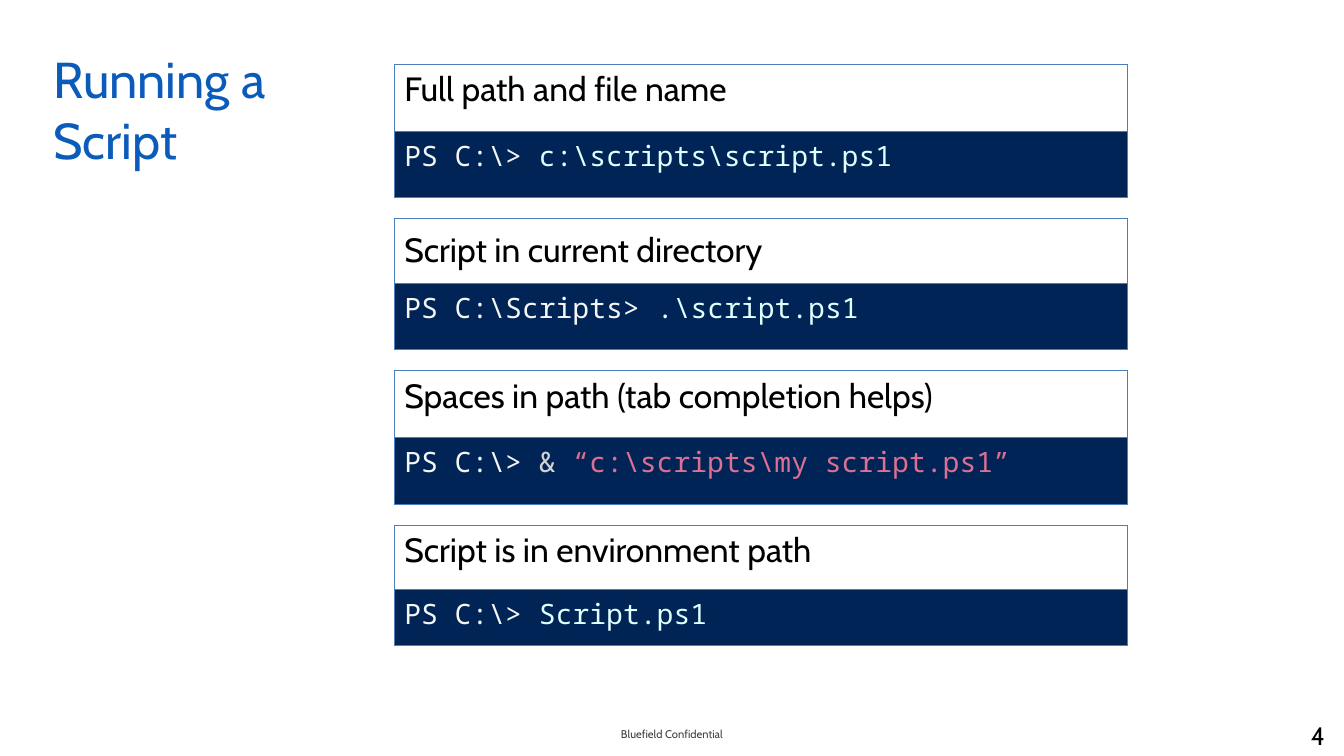
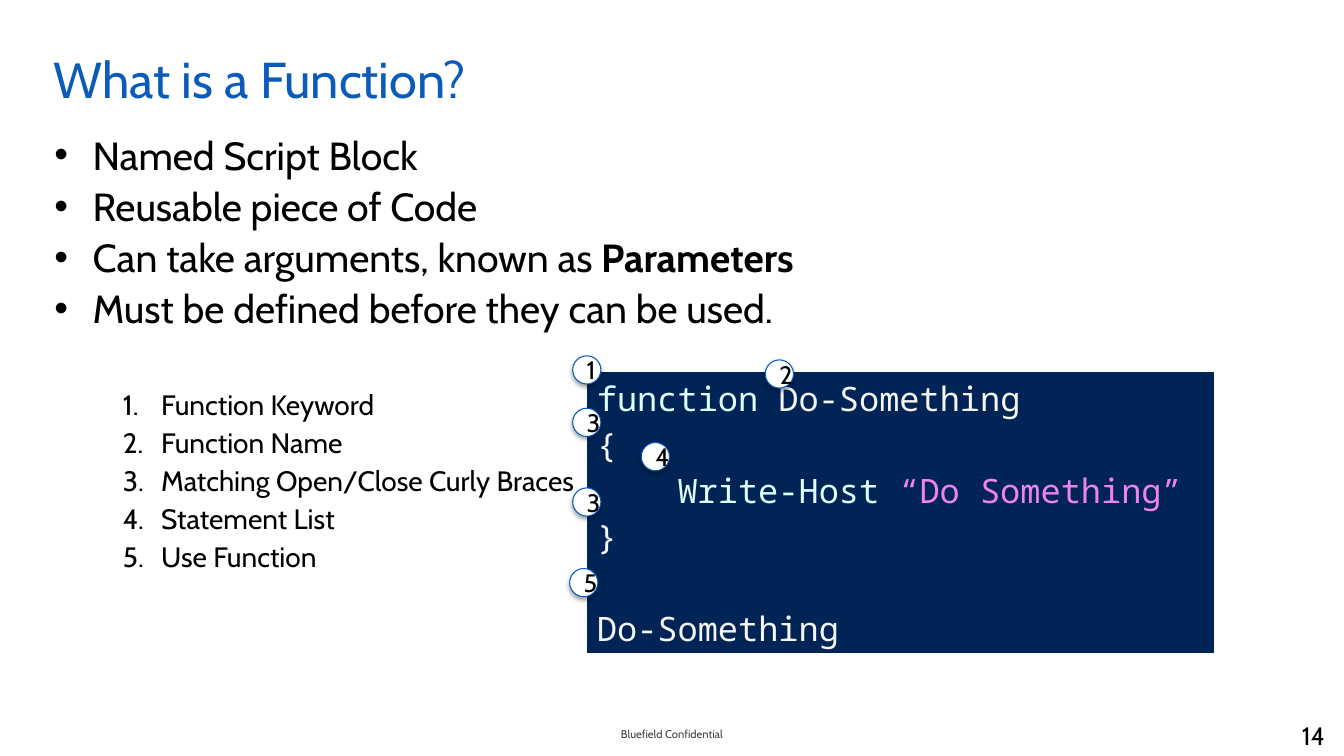
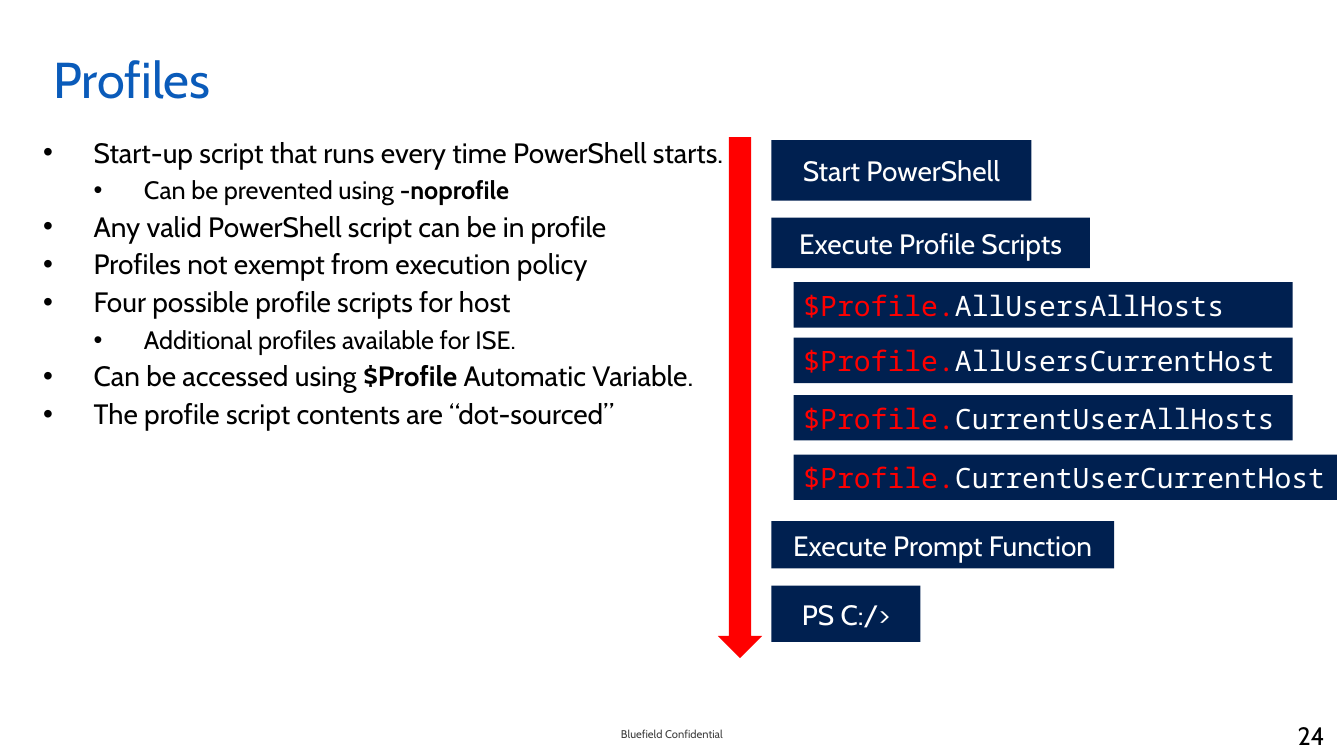
from dataclasses import dataclass, field

from lxml.etree import SubElement
from pptx import Presentation
from pptx.dml.color import RGBColor
from pptx.enum.shapes import MSO_SHAPE
from pptx.enum.text import MSO_ANCHOR, PP_ALIGN
from pptx.oxml.ns import qn
from pptx.util import Inches, Pt


@dataclass(frozen=True)
class Theme:
    sans: str = "Cabin"
    mono: str = "Noto Sans Mono"
    title: str = "0A5BBA"
    text: str = "000000"
    footer: str = "3F3F3F"
    white: str = "FFFFFF"
    console: str = "012456"
    bar: str = "002050"
    border: str = "4B7EBC"
    badge_line: str = "0559BA"
    red: str = "FF0000"
    prompt: str = "F5F5F5"
    command: str = "E0FFFF"
    operator: str = "D3D3D3"
    path_string: str = "DB7093"
    string: str = "EE82EE"
    title_size: int = 36
    lead_size: int = 28
    heading_size: int = 24
    body_size: int = 20
    small_size: int = 18
    footer_size: int = 8


THEME = Theme()
FOOTER = "Bluefield Confidential"
MARGINS = (0.2, 0.05, 0.2, 0.05)


@dataclass
class Line:
    """One paragraph: runs are (text, colour, bold); None keeps the default colour."""
    runs: list
    size: int = THEME.body_size
    font: str = THEME.sans
    color: str = THEME.text
    format: dict = field(default_factory=dict)
    indent: tuple = ()
    bullet: str = ""


def plain(text, **options):
    return Line([(text, None, False)], **options)


def set_all(target, values):
    for name, value in values.items():
        setattr(target, name, value)


def box(left, top, width, height):
    return [Inches(value) for value in (left, top, width, height)]


# ---- text ----
def set_bullet(paragraph, line):
    properties = paragraph._p.get_or_add_pPr()
    if line.indent:
        left, first = line.indent
        properties.set("marL", str(Inches(left)))
        properties.set("indent", str(Inches(first)))
    if line.bullet == "1.":
        SubElement(properties, qn("a:buFont"), typeface=line.font)
        SubElement(properties, qn("a:buAutoNum"), type="arabicPeriod")
    elif line.bullet:
        SubElement(properties, qn("a:buFont"), typeface="Arial")
        SubElement(properties, qn("a:buChar"), char=line.bullet)


def write_lines(frame, lines):
    frame.word_wrap = True
    for index, line in enumerate(lines):
        paragraph = frame.add_paragraph() if index else frame.paragraphs[0]
        set_all(paragraph, line.format)
        set_bullet(paragraph, line)
        for text, color, bold in line.runs:
            for part, piece in enumerate(text.split("\n")):
                if part:
                    paragraph.add_line_break()
                run = paragraph.add_run()
                run.text = piece
                set_all(run.font, {"name": line.font, "size": Pt(line.size), "bold": bold})
                run.font.color.rgb = RGBColor.from_string(color or line.color)


def add_text(slide, area, lines, margins=None, anchor=MSO_ANCHOR.TOP):
    frame = slide.shapes.add_textbox(*box(*area)).text_frame
    if margins:
        names = ("margin_left", "margin_top", "margin_right", "margin_bottom")
        set_all(frame, dict(zip(names, map(Inches, margins))))
    frame.vertical_anchor = anchor
    write_lines(frame, lines)


# ---- shapes and tables ----
def add_filled(slide, kind, area, fill, lines=(), line_color=None):
    shape = slide.shapes.add_shape(kind, *box(*area))
    shape.shadow.inherit = False
    shape.fill.solid()
    shape.fill.fore_color.rgb = RGBColor.from_string(fill)
    if line_color:
        shape.line.color.rgb = RGBColor.from_string(line_color)
        shape.line.width = Pt(0.75)
    else:
        shape.line.fill.background()
    shape.text_frame.vertical_anchor = MSO_ANCHOR.MIDDLE
    write_lines(shape.text_frame, lines)
    return shape


def add_soft_shadow(shape):
    effects = shape._element.spPr.find(qn("a:effectLst"))
    shadow = SubElement(effects, qn("a:outerShdw"), blurRad=str(Pt(3.1)),
                        dist=str(Pt(1.8)), dir="5400000", rotWithShape="0")
    color = SubElement(shadow, qn("a:srgbClr"), val=THEME.text)
    SubElement(color, qn("a:alpha"), val="35000")


def set_borders(cell, color, widths):
    properties = cell._tc.get_or_add_tcPr()
    for position, (side, width) in enumerate(zip("LRTB", widths)):
        edge = properties.makeelement(qn(f"a:ln{side}"), {"w": str(Pt(width))})
        fill = SubElement(edge, qn("a:solidFill"))
        SubElement(fill, qn("a:srgbClr"), val=color)
        properties.insert(position, edge)


def add_column_table(slide, area, rows, border, widths):
    """rows holds (height, fill, anchor, lines) for each single-cell row."""
    table = slide.shapes.add_table(len(rows), 1, *box(*area)).table
    set_all(table, {"first_row": False, "horz_banding": False})
    for index, (height, fill, anchor, lines) in enumerate(rows):
        table.rows[index].height = Inches(height)
        cell = table.cell(index, 0)
        cell.vertical_anchor = anchor
        cell.fill.solid()
        cell.fill.fore_color.rgb = RGBColor.from_string(fill)
        set_borders(cell, border, widths)
        write_lines(cell.text_frame, lines)


# ---- frame shared by all slides ----
def start_slide(presentation, title, number):
    slide = presentation.slides.add_slide(presentation.slide_layouts[6])
    add_text(slide, (5.11, 7.08, 3.11, 0.4),
             [plain(FOOTER, size=THEME.footer_size, color=THEME.footer,
                    format={"alignment": PP_ALIGN.CENTER})],
             MARGINS, MSO_ANCHOR.MIDDLE)
    add_text(slide, (0.33, 0.33, 12.33, 0.75),
             [plain(title, size=THEME.title_size, color=THEME.title)],
             (0.2, 0.15, 0.1, 0.05))
    add_text(slide, (10.23, 7.1, 3.11, 0.4),
             [plain(str(number), size=THEME.small_size,
                    format={"alignment": PP_ALIGN.RIGHT})],
             MARGINS, MSO_ANCHOR.MIDDLE)
    return slide


# ---- slide: running a script ----
def add_command_tables(slide, left, top, width, gap):
    high, low = 0.66, 0.64
    examples = [
        ("Full path and file name", high, high, MSO_ANCHOR.TOP, "PS C:\\> ",
         [("c:\\scripts\\script.ps1", THEME.command, False)]),
        ("Script in current directory", low, high, MSO_ANCHOR.MIDDLE, "PS C:\\Scripts> ",
         [(".\\script.ps1", THEME.command, False)]),
        ("Spaces in path (tab completion helps)", high, high, MSO_ANCHOR.TOP, "PS C:\\> ",
         [("& ", THEME.operator, False),
          ("“c:\\scripts\\my script.ps1”", THEME.path_string, False)]),
        ("Script is in environment path", low, 0.55, MSO_ANCHOR.TOP, "PS C:\\> ",
         [("Script.ps1", THEME.command, False)]),
    ]
    for heading, heading_height, code_height, anchor, prompt, command in examples:
        height = heading_height + code_height
        code = Line([(prompt, THEME.prompt, False), *command], font=THEME.mono)
        rows = [
            (heading_height, THEME.white, anchor, [plain(heading, size=THEME.heading_size)]),
            (code_height, THEME.console, MSO_ANCHOR.TOP, [code]),
        ]
        add_column_table(slide, (left, top, width, height), rows, THEME.border, [0.75] * 4)
        top += height + gap


# ---- slide: functions ----
def add_function_points(slide, left, top, width):
    spacing = {"space_before": Pt(3)}
    points = [
        [("Named Script Block", None, False)],
        [("Reusable piece of Code", None, False)],
        [("Can take arguments, known as ", None, False), ("Parameters", None, True)],
        [("Must be defined before they can be used.", None, False)],
    ]
    add_text(slide, (left, top, width, 2.2),
             [Line(runs, size=THEME.lead_size, format=spacing,
                   indent=(0.38, -0.38), bullet="•") for runs in points])
    legend = ["Function Keyword", "Function Name", "Matching Open/Close Curly Braces",
              "Statement List", "Use Function"]
    add_text(slide, (left, top + 2.55, width, 2),
             [plain(text, format=spacing, indent=(1.06, -0.38), bullet="1.")
              for text in legend])


def add_function_code(slide, left, top, width, height):
    style = {"size": THEME.heading_size, "font": THEME.mono, "color": THEME.prompt}
    code = [
        Line([("function", THEME.command, False), (" Do-Something", None, False)], **style),
        plain("{", **style),
        Line([("Write-Host ", THEME.command, False),
              ("“Do Something”", THEME.string, False)], indent=(0.8, 0), **style),
        plain("}", **style),
        plain("Do-Something", format={"space_before": Pt(32.7)}, **style),
    ]
    add_column_table(slide, (left, top, width, height),
                     [(height, THEME.console, MSO_ANCHOR.TOP, code)],
                     THEME.white, (1, 1, 1, 3))
    # Numbered badges, offset from the corner of the code
    badges = [("1", -0.14, -0.15), ("2", 1.77, -0.11), ("4", 0.54, 0.71),
              ("3", -0.14, 0.37), ("3", -0.14, 1.16), ("5", -0.17, 1.96)]
    for number, across, down in badges:
        label = plain(number, size=THEME.small_size, format={"alignment": PP_ALIGN.CENTER})
        badge = add_filled(slide, MSO_SHAPE.OVAL, (left + across, top + down, 0.28, 0.28),
                           THEME.white, [label], THEME.badge_line)
        add_soft_shadow(badge)


# ---- slide: profiles ----
def add_startup_sequence(slide, left, top):
    steps = [("Start PowerShell", 0.03, 2.58, 0.6),
             ("Execute Profile Scripts", 0.8, 3.16, 0.5),
             ("Execute Prompt Function", 3.81, 3.4, 0.47),
             ("PS C:/>", 4.45, 1.48, 0.56)]
    for text, down, width, height in steps:
        label = plain(text, color=THEME.white, format={"alignment": PP_ALIGN.CENTER})
        add_filled(slide, MSO_SHAPE.RECTANGLE, (left + 0.53, top + down, width, height),
                   THEME.bar, [label])
    profiles = [("AllUsersAllHosts", 1.44, 4.95), ("AllUsersCurrentHost", 1.99, 4.95),
                ("CurrentUserAllHosts", 2.56, 4.95), ("CurrentUserCurrentHost", 3.15, 5.39)]
    for name, down, width in profiles:
        label = Line([("$Profile.", THEME.red, False), (name, THEME.white, False)],
                     font=THEME.mono, format={"alignment": PP_ALIGN.LEFT})
        add_filled(slide, MSO_SHAPE.RECTANGLE, (left + 0.75, top + down, width, 0.45),
                   THEME.bar, [label])
    add_filled(slide, MSO_SHAPE.DOWN_ARROW, (left, top, 0.44, 5.17), THEME.red)


def add_profile_points(slide, area):
    points = [
        (0, [("Start-up script that runs every time PowerShell starts.", None, False)]),
        (1, [("Can be prevented using ", None, False), ("-noprofile", None, True)]),
        (0, [("Any valid PowerShell script can be in profile", None, False)]),
        (0, [("Profiles not exempt from execution policy", None, False)]),
        (0, [("Four possible profile scripts for host", None, False)]),
        (1, [("Additional profiles available for ISE.", None, False)]),
        (0, [("Can be accessed using ", None, False), ("$Profile ", None, True),
             ("Automatic Variable.", None, False)]),
        (0, [("The profile script contents are “dot-sourced”", None, False)]),
    ]
    levels = [
        {"size": THEME.body_size, "indent": (0.5, -0.5), "format": {"space_before": Pt(3)}},
        {"size": THEME.small_size, "indent": (1, -0.5),
         "format": {"level": 1, "line_spacing": 1.2}},
    ]
    add_text(slide, area, [Line(runs, bullet="•", **levels[level]) for level, runs in points])


def main():
    presentation = Presentation()
    set_all(presentation, {"slide_width": Inches(13.33), "slide_height": Inches(7.5)})

    running = start_slide(presentation, "Running a\nScript", 4)
    add_command_tables(running, 3.91, 0.64, 7.27, 0.21)

    function = start_slide(presentation, "What is a Function?", 14)
    add_function_points(function, 0.44, 1.25, 12.22)
    add_function_code(function, 5.82, 3.68, 6.23, 2.82)

    profiles = start_slide(presentation, "Profiles", 24)
    add_startup_sequence(profiles, 7.12, 1.36)
    add_profile_points(profiles, (0.33, 1.29, 8.8, 3.75))

    presentation.save("out.pptx")


main()
